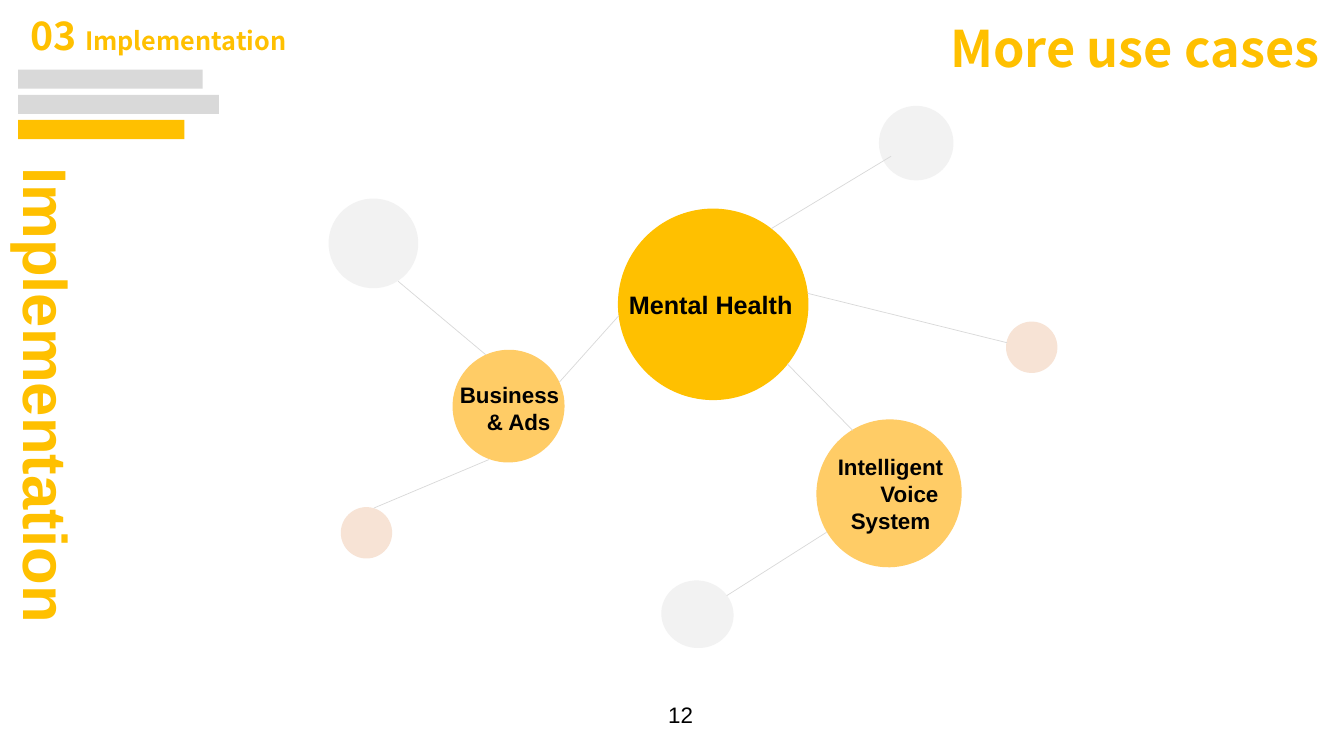
from pptx import Presentation
from pptx.dml.color import RGBColor
from pptx.enum.shapes import MSO_CONNECTOR, MSO_SHAPE
from pptx.enum.text import MSO_ANCHOR, PP_ALIGN
from pptx.oxml.ns import qn
from pptx.util import Pt
from lxml import etree

RECT, OVAL = MSO_SHAPE.RECTANGLE, MSO_SHAPE.OVAL
STRAIGHT = MSO_CONNECTOR.STRAIGHT
LEFT, CENTER, RIGHT = PP_ALIGN.LEFT, PP_ALIGN.CENTER, PP_ALIGN.RIGHT
TOP, BOTTOM = MSO_ANCHOR.TOP, MSO_ANCHOR.BOTTOM
GOLD, AMBER, PEACH = "FFC000", "FFCC66", "F7E3D5"
PALE, GREY, BLACK = "F2F2F2", "D9D9D9", "000000"
SANS, HEADING = "Arial", "Noto Sans CJK SC"

prs = Presentation()
prs.slide_width, prs.slide_height = Pt(960), Pt(540)
slide = prs.slides.add_slide(prs.slide_layouts[6])


def add_filled(preset, box, color, rotation=0):
    shape = slide.shapes.add_shape(preset, *map(Pt, box))
    shape.rotation = rotation
    shape.shadow.inherit = False
    shape.fill.solid()
    shape.fill.fore_color.rgb = RGBColor.from_string(color)
    shape.line.fill.background()


def add_text(box, lines, font, color, bold=True, align=LEFT, anchor=TOP, wrap=True):
    """Each line is (left indent in points, [(text, size), ...])."""
    label = slide.shapes.add_textbox(*map(Pt, box))
    frame = label.text_frame
    frame.word_wrap = wrap
    frame.vertical_anchor = anchor
    for i, (indent, runs) in enumerate(lines):
        paragraph = frame.add_paragraph() if i else frame.paragraphs[0]
        paragraph.alignment = align
        if indent:
            paragraph._p.get_or_add_pPr().set("marL", str(Pt(indent)))
        for text, size in runs:
            run = paragraph.add_run()
            run.text = text
            run.font.name = font
            run.font.size = Pt(size)
            run.font.bold = bold
            run.font.color.rgb = RGBColor.from_string(color)
            # East Asian typeface matches the Latin one
            etree.SubElement(run.font._element, qn("a:ea")).set("typeface", font)
    return label


# Section header and progress bars
section = add_text((14.4, 8.64, 285.84, 37.44),
                   [(0, [("03 ", 28), ("Implementation", 18)])], HEADING, GOLD)
section.text_frame.paragraphs[0].line_spacing = 0.9
for i, (width, color) in enumerate([(131.8, GREY), (143.3, GREY), (118.8, GOLD)]):
    add_filled(RECT, (13, 49.7 + 18 * i, width, 13.7), color)

# Titles and page number
side_title = add_text((-144, 259.92, 355.68, 60.48), [(0, [("Implementation", 44)])],
                      SANS, GOLD, wrap=False)
side_title.rotation = 90
add_text((362.16, 7.92, 587.52, 51.12), [(0, [("More use cases", 36)])],
         HEADING, GOLD, align=RIGHT, anchor=BOTTOM)
add_text((470.16, 497.52, 39.6, 26.64), [(0, [("12", 16)])], SANS, BLACK, bold=False)

# Network of use cases
nodes = [
    ((627.8, 75.6, 53.3, 53.3), PALE, 352.7),
    ((441.4, 149, 136.1, 136.8), GOLD, 353.3),
    ((243.4, 362.2, 36.7, 36.7), PEACH, 16.6),
    ((583.2, 299.5, 103.7, 105.8), AMBER, 13.9),
    ((234.7, 141.8, 64.1, 64.1), PALE, 11.3),
    ((718.6, 229.7, 36.7, 36.7), PEACH, 325.2),
    ((472.3, 414.7, 51.8, 48.2), PALE, 10.5),
    ((323.3, 249.8, 79.9, 80.6), AMBER, 20.4),
]
for box, color, rotation in nodes:
    add_filled(OVAL, box, color, rotation)

links = [
    (442.1, 225.4, 399.6, 272.9),
    (284.4, 200.9, 347, 253.4),
    (562.3, 259.9, 609.1, 307.4),
    (590.4, 380.2, 519.1, 425.5),
    (349.2, 328.3, 267.1, 362.9),
    (550.8, 163.4, 636.5, 111.6),
    (719.3, 244.8, 576.7, 209.5),
]
for ends in links:
    link = slide.shapes.add_connector(STRAIGHT, *map(Pt, ends))
    link.line.color.rgb = RGBColor.from_string(GREY)
    link.line.width = Pt(0.5)
    etree.SubElement(link._element.spPr, qn("a:effectLst"))

add_text((442.08, 203.04, 159.12, 28.8), [(0, [("Mental Health", 18)])], SANS, BLACK)
add_text((318.6, 268.56, 90.72, 46.08),
         [(0, [("Business", 16)]), (13, [("& Ads", 16)])], SANS, BLACK, align=CENTER)
add_text((590.4, 320.4, 91.44, 65.52),
         [(0, [("Intelligent", 16)]), (27, [("Voice", 16)]), (0, [("System", 16)])],
         SANS, BLACK, align=CENTER)

prs.save("out.pptx")
